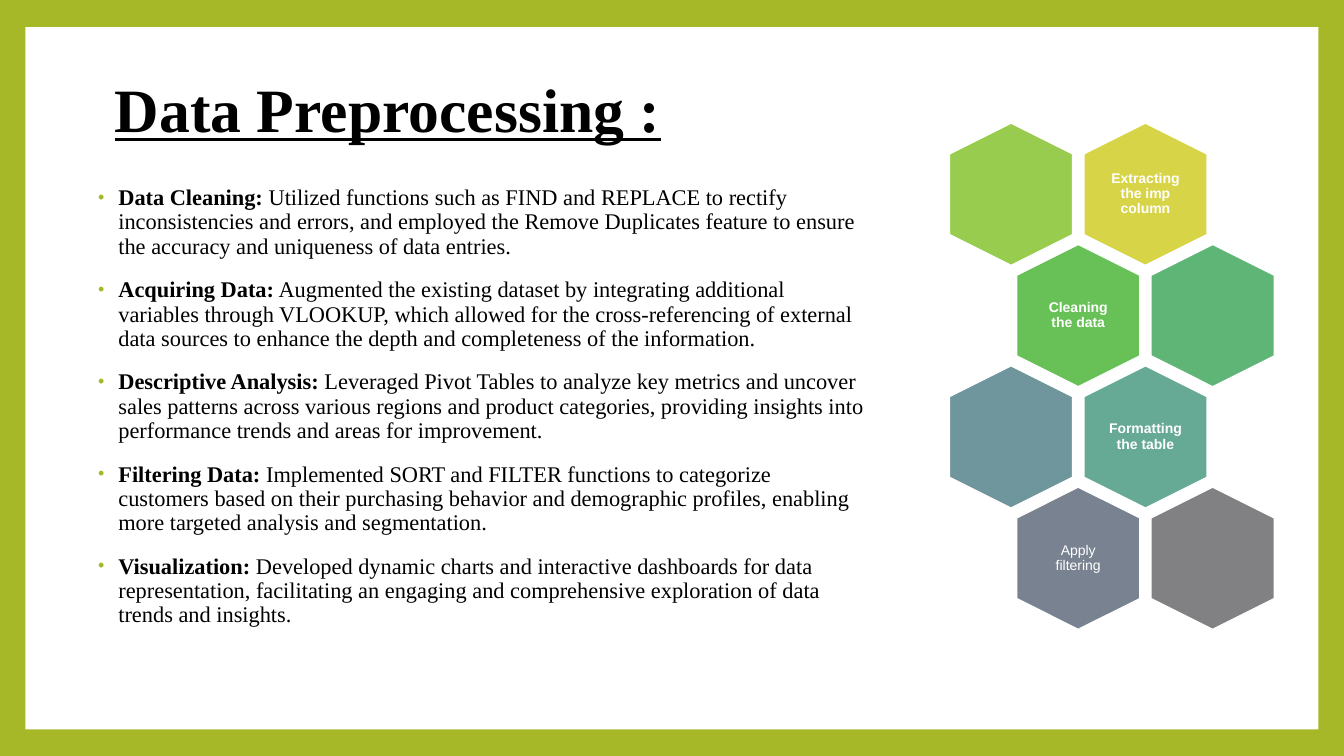
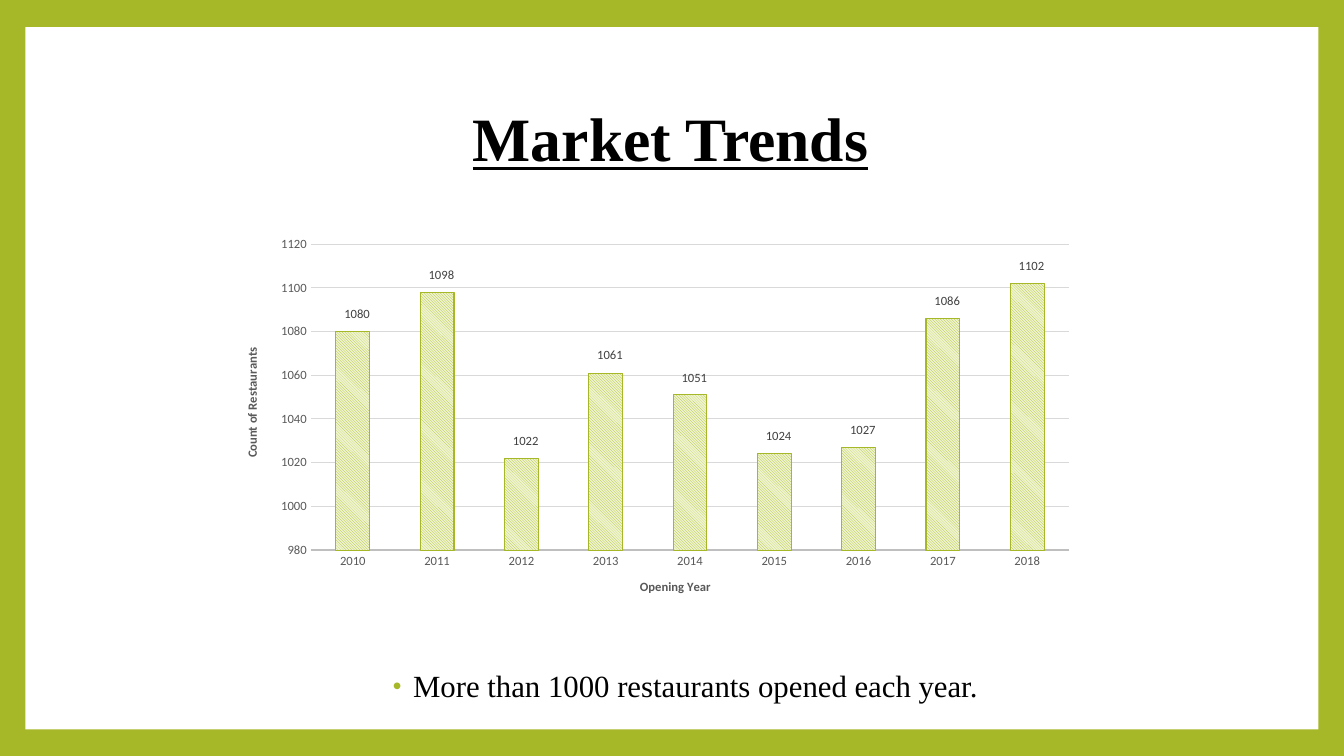
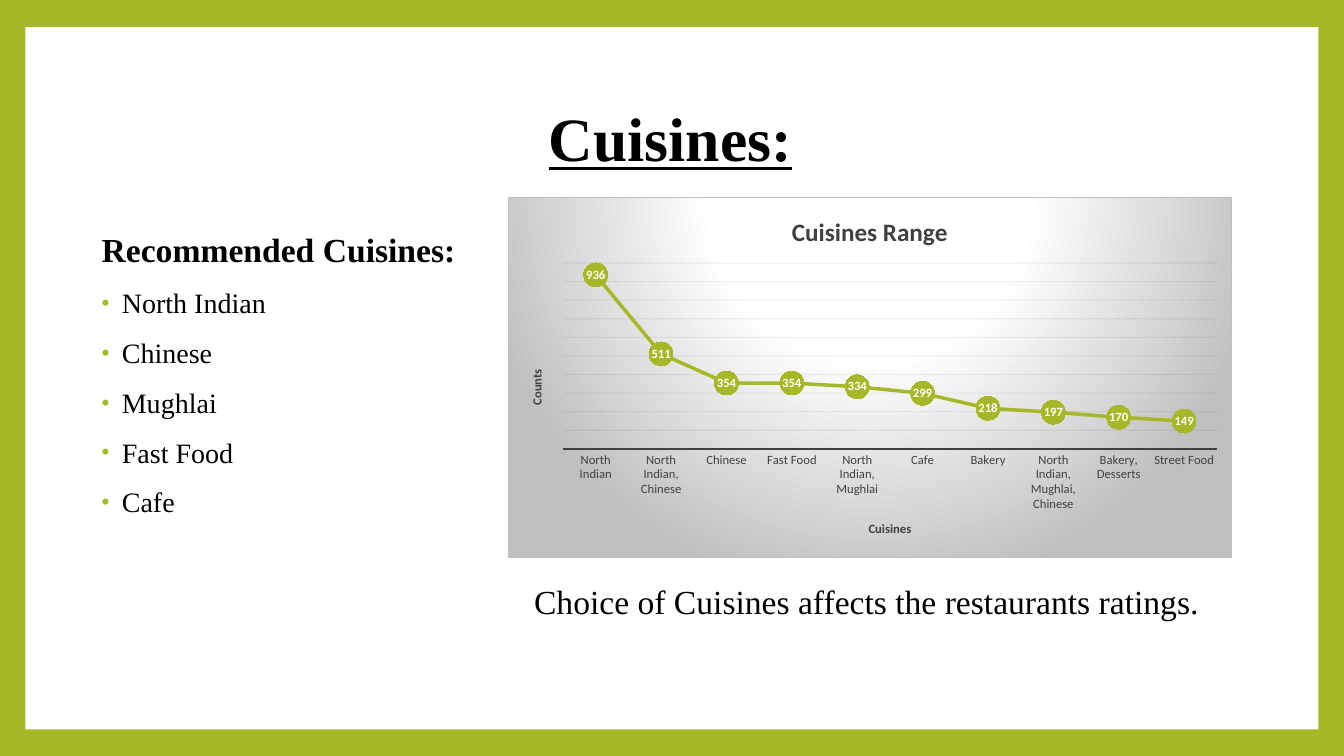
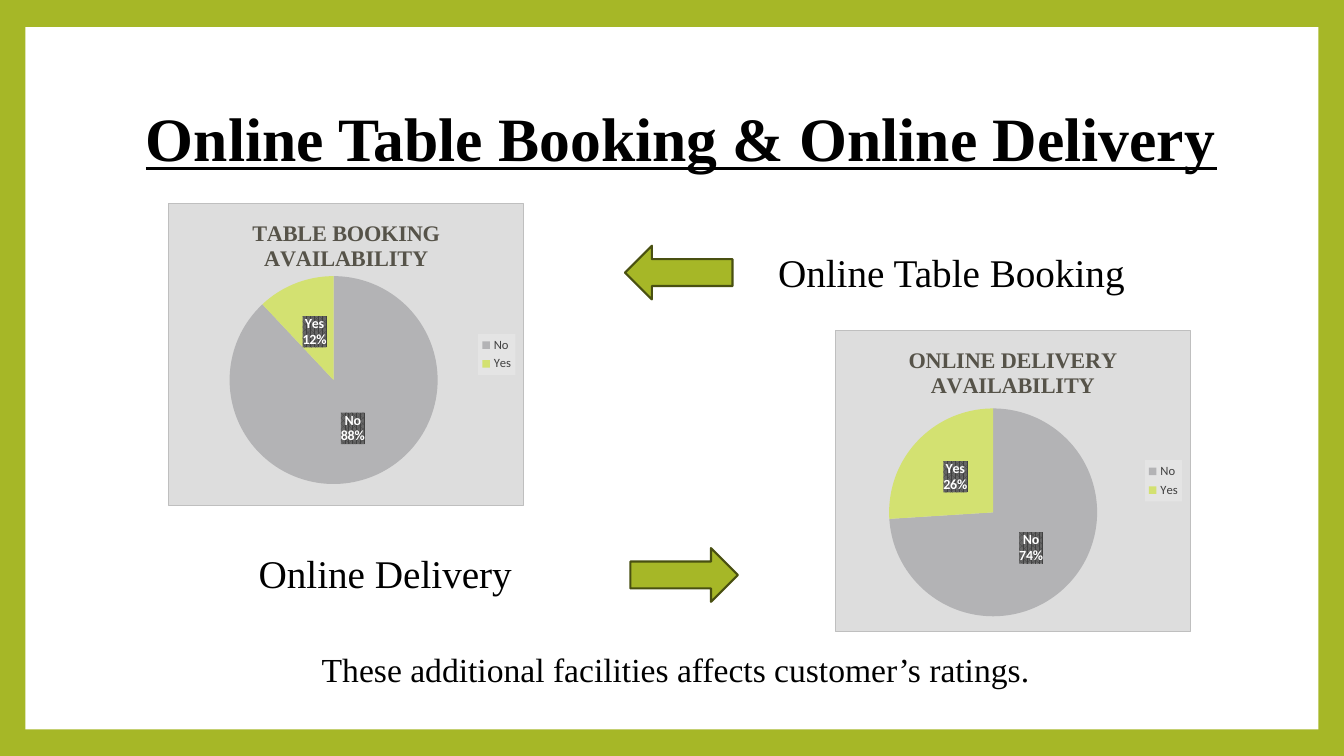
from lxml import etree
from pptx import Presentation
from pptx import util as u
from pptx.chart.data import CategoryChartData
from pptx.dml.color import RGBColor
from pptx.enum import chart as ch, dml, shapes, text
from pptx.oxml import parse_xml
from pptx.oxml.ns import nsdecls, qn

WIDTH, HEIGHT = u.Inches(13.33), u.Inches(7.5)
COLORS = dict(
    green="A6B727", white="FFFFFF", black="000000", arrow_edge="495011",
    pale_green="F0F5D0", slice_no="B3B3B5", slice_yes="D3E171", panel="DDDDDD",
    legend="E4E4E4", pie_title="565349", dark="404040", mid="595959",
    edge="BFBFBF", grid="D9D9D9", faint_grid="0D0D0D", label_dots="666666",
)
SERIF, SANS, CHART_FONT = "Times New Roman", "Arial", "Calibri"
TITLE_AREA = (9.4, 8.9, 81, 19.7)
CENTER = text.PP_ALIGN.CENTER
MIDDLE, BOTTOM = text.MSO_ANCHOR.MIDDLE, text.MSO_ANCHOR.BOTTOM

PRACTICES = [
    ("Data Cleaning:", " Utilized functions such as FIND and REPLACE to rectify inconsistencies and "
     "errors, and employed the Remove Duplicates feature to ensure the accuracy and uniqueness of "
     "data entries."),
    ("Acquiring Data:", " Augmented the existing dataset by integrating additional variables through "
     "VLOOKUP, which allowed for the cross-referencing of external data sources to enhance the depth "
     "and completeness of the information."),
    ("Descriptive Analysis:", " Leveraged Pivot Tables to analyze key metrics and uncover sales "
     "patterns across various regions and product categories, providing insights into performance "
     "trends and areas for improvement."),
    ("Filtering Data:", " Implemented SORT and FILTER functions to categorize customers based on "
     "their purchasing behavior and demographic profiles, enabling more targeted analysis and "
     "segmentation."),
    ("Visualization:", " Developed dynamic charts and interactive dashboards for data "
     "representation, facilitating an engaging and comprehensive exploration of data trends and "
     "insights."),
]
# Row, column, fill, label, bold
HEXAGONS = [
    (0, 0, "98CC4E", "", True), (0, 1, "D7D447", "Extracting the imp column", True),
    (1, 0, "67C156", "Cleaning the data", True), (1, 1, "5EB576", "", True),
    (2, 0, "6F969D", "", True), (2, 1, "66A995", "Formatting the table", True),
    (3, 0, "788290", "Apply filtering", False), (3, 1, "818183", "", True),
]
OPENINGS = {"2010": 1080, "2011": 1098, "2012": 1022, "2013": 1061, "2014": 1051,
            "2015": 1024, "2016": 1027, "2017": 1086, "2018": 1102}
CUISINES = {"North Indian": 936, "North Indian, Chinese": 511, "Chinese": 354, "Fast Food": 354,
            "North Indian, Mughlai": 334, "Cafe": 299, "Bakery": 218,
            "North Indian, Mughlai, Chinese": 197, "Bakery, Desserts": 170, "Street Food": 149}


def rgb(color):
    return RGBColor.from_string(COLORS.get(color, color))


def place(area):
    """Turn percentages of the slide into left, top, width, height."""
    return [int(share * side / 100) for share, side in zip(area, (WIDTH, HEIGHT) * 2)]


def set_all(obj, **values):
    for name, value in values.items():
        setattr(obj, name, value)


def set_font(font, size, color="black", name=SERIF, **more):
    set_all(font, size=u.Pt(size), name=name, **more)
    font.color.rgb = rgb(color)


def set_line(line, color, width):
    line.color.rgb = rgb(color)
    line.width = u.Pt(width)


def add_bullet(p):
    pPr = p._p.get_or_add_pPr()
    set_indent(p, 0.25, -0.2)
    color = etree.SubElement(pPr, qn("a:buClr"))
    etree.SubElement(color, qn("a:srgbClr"), val=COLORS["green"])
    etree.SubElement(pPr, qn("a:buSzPct"), val="80000")
    etree.SubElement(pPr, qn("a:buFont"), typeface=SANS)
    etree.SubElement(pPr, qn("a:buChar"), char="•")


def set_indent(p, left, first=0):
    pPr = p._p.get_or_add_pPr()
    pPr.set("marL", str(u.Inches(left)))
    pPr.set("indent", str(u.Inches(first)))


def add_run(p, words, size, **fmt):
    r = p.add_run()
    r.text = words
    set_font(r.font, size, **fmt)


def add_box(slide, area, wrap=True, anchor=text.MSO_ANCHOR.TOP):
    tf = slide.shapes.add_textbox(*place(area)).text_frame
    set_all(tf, word_wrap=wrap, vertical_anchor=anchor)
    return tf


def add_caption(slide, area, words, size):
    add_run(add_box(slide, area, wrap=False).paragraphs[0], words, size)


def add_body_paragraph(tf, runs, size, bullet=True):
    """Runs are pairs of words and boldness."""
    p = tf.paragraphs[0] if not tf.paragraphs[0].runs else tf.add_paragraph()
    set_all(p, line_spacing=0.9, space_before=u.Pt(14))
    if bullet:
        add_bullet(p)
    else:
        set_indent(p, 0.05)
    for words, bold in runs:
        add_run(p, words, size, bold=bold)
    return p


def add_shape(slide, kind, area, fill, line=None, rotation=0):
    sp = slide.shapes.add_shape(kind, *place(area))
    sp.shadow.inherit = False
    sp.rotation = rotation
    sp.fill.solid()
    sp.fill.fore_color.rgb = rgb(fill)
    if line:
        set_line(sp.line, line, 1.5)
    else:
        sp.line.fill.background()
    return sp


def add_slide(prs, title, area=TITLE_AREA, align=CENTER):
    slide = prs.slides.add_slide(prs.slide_layouts[5])
    sp = slide.shapes.title
    set_all(sp, **dict(zip(("left", "top", "width", "height"), place(area))))
    set_all(sp.text_frame, word_wrap=True, vertical_anchor=MIDDLE, auto_size=text.MSO_AUTO_SIZE.NONE)
    p = sp.text_frame.paragraphs[0]
    set_all(p, alignment=align, line_spacing=0.9)
    add_run(p, title, 44, bold=True, underline=True)
    return slide


def frame_master(prs, slide):
    """Give the master a green ground and move a white panel onto it."""
    master = prs.slide_master
    master.background.fill.solid()
    master.background.fill.fore_color.rgb = rgb("green")
    panel = add_shape(slide, shapes.MSO_SHAPE.RECTANGLE, (1.9, 3.6, 96.2, 92.9), "white")
    master.shapes.element.insert(2, panel.element)


def color_xml(color):
    return f'<a:srgbClr val="{COLORS[color]}"/>'


def solid(color):
    return f'<a:solidFill>{color_xml(color)}</a:solidFill>'


def add_chart_fill(parent, fill, edge=None):
    """Fill a chart part that already has its text properties."""
    line = f'<a:ln w="9525">{solid(edge)}</a:ln>' if edge else ""
    xml = f'<c:spPr {nsdecls("c", "a")}>{fill}{line}</c:spPr>'
    parent.find(qn("c:txPr")).addprevious(parse_xml(xml))


def manual_layout(**values):
    items = "".join(f'<c:{k} val="{v}"/>' for k, v in values.items())
    return parse_xml(f'<c:layout {nsdecls("c")}><c:manualLayout>{items}</c:manualLayout></c:layout>')


def hide_leader_lines(labels):
    """Turn leader lines off in both the basic and the extended setting."""
    dLbls = labels._element
    for old in dLbls.findall(qn("c:showLeaderLines")):
        dLbls.remove(old)
    etree.SubElement(dLbls, qn("c:showLeaderLines"), val="0")
    dLbls.append(parse_xml(
        f'<c:extLst {nsdecls("c")}><c:ext uri="{{CE6537A1-D6FC-4f65-9D91-7224C49458BB}}" '
        'xmlns:c15="http://schemas.microsoft.com/office/drawing/2012/chart">'
        '<c15:showLeaderLines val="0"/></c:ext></c:extLst>'))


def add_chart(slide, kind, area, values):
    data = CategoryChartData()
    data.categories = list(values)
    data.add_series("Series 1", list(values.values()))
    chart = slide.shapes.add_chart(kind, *place(area), data).chart
    set_font(chart.font, 10, name=CHART_FONT)
    set_all(chart, has_legend=False, has_title=False)
    chart.plots[0].vary_by_categories = kind == ch.XL_CHART_TYPE.PIE
    return chart, chart.plots[0].series[0]


def set_chart_title(owner, words, size, color, name=CHART_FONT):
    """Title a chart or an axis."""
    tf = (owner.chart_title if hasattr(owner, "chart_title") else owner.axis_title).text_frame
    add_run(tf.paragraphs[0], words, size, color=color, name=name, bold=True)


def set_axes(chart, titles, color, line, grid, scale):
    for axis, title in zip((chart.category_axis, chart.value_axis), titles):
        set_chart_title(axis, title, 9, color)
        set_font(axis.tick_labels.font, 9, color, CHART_FONT)
        set_all(axis, major_tick_mark=ch.XL_TICK_MARK.NONE, minor_tick_mark=ch.XL_TICK_MARK.NONE)
    set_line(chart.category_axis.format.line, line, 1.5)
    value = chart.value_axis
    value.format.line.fill.background()
    set_line(value.major_gridlines.format.line, grid, 0.75)
    set_all(value, **dict(zip(("minimum_scale", "maximum_scale", "major_unit"), scale)))


def set_labels(series, size, color, **show):
    labels = series.data_labels
    set_font(labels.font, size, color, CHART_FONT, bold=color == "white")
    set_all(labels, position=ch.XL_LABEL_POSITION.CENTER, **show)
    return labels


def add_openings_chart(slide):
    chart, series = add_chart(slide, ch.XL_CHART_TYPE.COLUMN_STACKED, (16.65, 30.3, 64.2, 51.1), OPENINGS)
    low, high = 980, 1120
    set_axes(chart, ("Opening Year", "Count of Restaurants"), "mid", "edge", "grid", (low, high, 20))
    set_all(chart.plots[0], gap_width=150, overlap=100)
    fill = series.format.fill
    fill.patterned()
    fill.pattern = dml.MSO_PATTERN.LIGHT_DOWNWARD_DIAGONAL
    fill.fore_color.rgb, fill.back_color.rgb = rgb("green"), rgb("pale_green")
    set_line(series.format.line, "green", 0.75)
    labels = set_labels(series, 9, "dark", show_value=True)
    plot_share, gap = 0.79, 0.045
    for i, count in enumerate(OPENINGS.values()):
        label = series.points[i].data_label
        set_font(label.font, 9, "dark", CHART_FONT)
        label.position = ch.XL_LABEL_POSITION.CENTER
        rise = (count - low) / (high - low) * plot_share / 2 + gap
        dLbl = labels._element.findall(qn("c:dLbl"))[i]
        dLbl.find(qn("c:idx")).addnext(manual_layout(x=0.005, y=round(-rise, 3)))
    hide_leader_lines(labels)


def add_cuisines_chart(slide):
    chart, series = add_chart(slide, ch.XL_CHART_TYPE.LINE_MARKERS, (37.8, 26.1, 53.85, 47.7), CUISINES)
    set_chart_title(chart, "Cuisines Range", 18, "dark")
    set_axes(chart, ("Cuisines", "Counts"), "dark", "dark", "faint_grid", (0, 1000, 100))
    chart.value_axis.visible = False
    grid = chart.value_axis.major_gridlines.format.line.color._xFill.find(qn("a:srgbClr"))
    etree.SubElement(grid, qn("a:alpha"), val="5000")
    stops = "".join(f'<a:gs pos="{at}000">{color_xml(color)}</a:gs>'
                    for at, color in ((0, "white"), (39, "white"), (100, "edge")))
    add_chart_fill(chart.element, f'<a:gradFill><a:gsLst>{stops}</a:gsLst><a:path path="circle">'
                   '<a:fillToRect l="50000" t="-80000" r="50000" b="180000"/></a:path></a:gradFill>', "edge")
    series.smooth = False
    set_line(series.format.line, "green", 2.5)
    marker = series.marker
    set_all(marker, style=ch.XL_MARKER_STYLE.CIRCLE, size=17)
    marker.format.fill.solid()
    marker.format.fill.fore_color.rgb = rgb("green")
    marker.format.line.fill.background()
    set_labels(series, 9, "white", show_value=True)


def add_pie(slide, left, top, title, values, plot):
    chart, series = add_chart(slide, ch.XL_CHART_TYPE.PIE, (left, top, 26.5, 40), values)
    set_chart_title(chart, title, 16, "pie_title", SERIF)
    add_chart_fill(chart.element, solid("panel"), "edge")
    chart.has_legend = True
    set_all(chart.legend, position=ch.XL_LEGEND_POSITION.RIGHT, include_in_layout=False)
    set_font(chart.legend.font, 9, "dark", CHART_FONT)
    add_chart_fill(chart.legend._element, solid("legend"))
    for i, color in enumerate(("slice_no", "slice_yes")):
        fill = series.points[i].format.fill
        fill.solid()
        fill.fore_color.rgb = rgb(color)
    labels = set_labels(series, 10, "white", show_value=False, show_percentage=True,
                        show_category_name=True)._element
    add_chart_fill(labels, f'<a:pattFill prst="pct75"><a:fgClr>{color_xml("dark")}</a:fgClr>'
                   f'<a:bgClr>{color_xml("label_dots")}</a:bgClr></a:pattFill>')
    separator = parse_xml(f'<c:separator {nsdecls("c")}>\n</c:separator>')
    labels.find(qn("c:showBubbleSize")).addnext(separator)
    plot_area = chart.element.find(".//" + qn("c:plotArea"))
    for old in plot_area.findall(qn("c:layout")):
        plot_area.remove(old)
    plot_area.insert(0, manual_layout(layoutTarget="inner", xMode="edge", yMode="edge",
                                      **dict(zip("xywh", plot))))


def add_honeycomb(slide):
    """Odd rows are shifted by half a column."""
    left, top, col, row = 69.9, 17.5, 10, 16.05
    w, h, label_w, label_h = 10.65, 16.4, 6.4, 13.1
    for r, c, fill, label, bold in HEXAGONS:
        x, y = left + col * (c + r % 2 / 2), top + row * r
        add_shape(slide, shapes.MSO_SHAPE.HEXAGON, (x, y, w, h), fill, "white", 90)
        if label:
            area = (x + (w - label_w) / 2, y + (h - label_h) / 2, label_w, label_h)
            tf = add_box(slide, area, anchor=MIDDLE)
            for side in ("left", "right", "top", "bottom"):
                setattr(tf, f"margin_{side}", u.Inches(0.04))
            p = tf.paragraphs[0]
            set_all(p, alignment=CENTER, line_spacing=0.9)
            add_run(p, label, 10, color="white", name=SANS, bold=bold)


def preprocessing_slide(prs):
    slide = add_slide(prs, "Data Preprocessing :", (7.8, 5.3, 44, 19.3), text.PP_ALIGN.LEFT)
    frame_master(prs, slide)
    tf = add_box(slide, (6.2, 24, 59, 62.4))
    for head, words in PRACTICES:
        add_body_paragraph(tf, [(head, True), (words, False)], 16)
    add_honeycomb(slide)


def trends_slide(prs):
    slide = add_slide(prs, "Market Trends")
    tf = add_box(slide, (10.3, 86.3, 81, 7.5), anchor=BOTTOM)
    p = add_body_paragraph(tf, [("More than 1000 restaurants opened each year.", False)], 22)
    p.alignment = CENTER
    add_openings_chart(slide)


def cuisines_slide(prs):
    slide = add_slide(prs, "Cuisines:")
    tf = add_box(slide, (6.45, 30.6, 29.85, 38.7), anchor=BOTTOM)
    add_body_paragraph(tf, [("Recommended Cuisines:", True)], 24, bullet=False)
    for name in ("North Indian", "Chinese", "Mughlai", "Fast Food", "Cafe"):
        add_body_paragraph(tf, [(name, False)], 20)
    add_cuisines_chart(slide)
    add_caption(slide, (39, 76.2, 51.4, 6.7), "Choice of Cuisines affects the restaurants ratings.", 24)


def online_slide(prs):
    slide = add_slide(prs, "Online Table Booking & Online Delivery", (9.4, 8.9, 82.6, 19.7))
    add_pie(slide, 12.5, 26.9, "TABLE BOOKING AVAILABILITY", {"No": 88, "Yes": 12},
            (0.08, 0.24, 0.77, 0.69))
    add_pie(slide, 62.1, 43.6, "ONLINE DELIVERY AVAILABILITY", {"No": 74, "Yes": 26},
            (0.06, 0.26, 0.77, 0.69))
    for left, top, rotation in ((46.9, 72.5, 0), (46.5, 32.5, 180)):
        add_shape(slide, shapes.MSO_SHAPE.RIGHT_ARROW, (left, top, 8, 7.1), "green", "arrow_edge", rotation)
    add_caption(slide, (57.15, 32.2, 27.6, 7.6), "Online Table Booking", 28)
    add_caption(slide, (18.5, 72, 20.5, 7.6), "Online Delivery", 28)
    add_caption(slide, (23.2, 85.2, 54.6, 6.7), "These additional facilities affects customer’s ratings.", 24)


def main():
    prs = Presentation()
    set_all(prs, slide_width=WIDTH, slide_height=HEIGHT)
    for build in (preprocessing_slide, trends_slide, cuisines_slide, online_slide):
        build(prs)
    prs.save("out.pptx")


if __name__ == "__main__":
    main()
